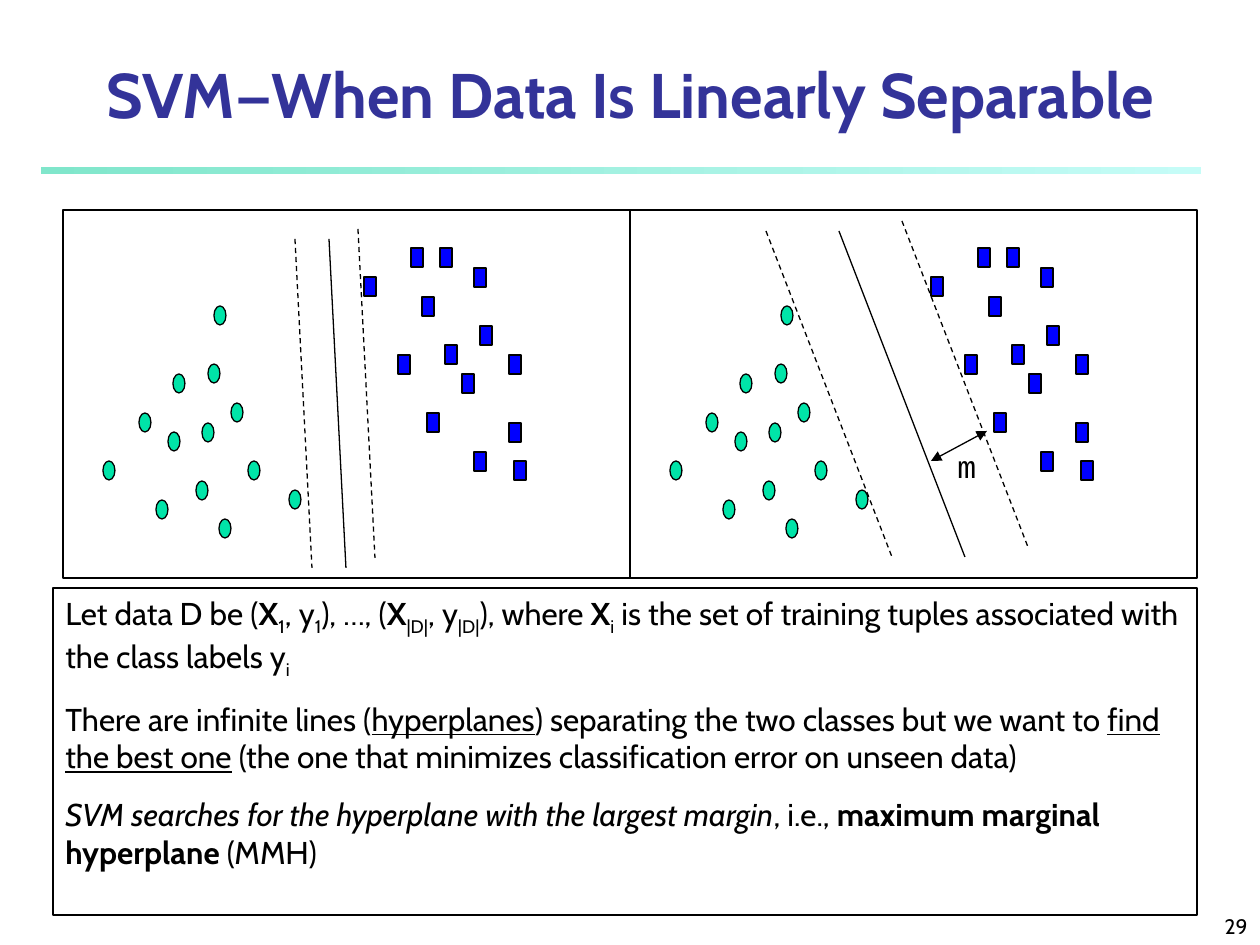
"""Builds a slide comparing small and large margins of a linear SVM."""
from lxml import etree
from pptx import Presentation
from pptx.dml.color import RGBColor
from pptx.enum.dml import MSO_LINE
from pptx.enum.shapes import MSO_CONNECTOR, MSO_SHAPE
from pptx.enum.text import MSO_ANCHOR, PP_ALIGN
from pptx.oxml.ns import qn
from pptx.util import Pt

PX = 914400 // 126
OVAL, RECTANGLE = MSO_SHAPE.OVAL, MSO_SHAPE.RECTANGLE
STRAIGHT, DASH = MSO_CONNECTOR.STRAIGHT, MSO_LINE.DASH
TOP, BOTTOM = MSO_ANCHOR.TOP, MSO_ANCHOR.BOTTOM
LEFT, CENTER, RIGHT = PP_ALIGN.LEFT, PP_ALIGN.CENTER, PP_ALIGN.RIGHT

COLORS = {"title": "333399", "text": "000000", "line": "000000",
          "circle": "00E4A8", "square": "0000FF",
          "rule start": "80E6CB", "rule end": "C5FCF7"}
FONT, MARGIN_FONT = "Cabin", "Courier New"

TITLE = "SVM—When Data Is Linearly Separable"
BOLD, SUB, UNDERLINE, ITALIC = "bold", "sub", "underline", "italic"
EXPLANATION = [
    [("Let data D be (",), ("X", BOLD), ("1", SUB), (", y",), ("1", SUB),
     ("), …, (",), ("X", BOLD), ("|D|", SUB), (", y",), ("|D|", SUB),
     ("), where ",), ("X", BOLD), ("i", SUB),
     (" is the set of training tuples associated with the class labels y",),
     ("i", SUB)],
    [("There are infinite lines (",), ("hyperplanes", UNDERLINE),
     (") separating the two classes but we want to ",),
     ("find the best one", UNDERLINE),
     (" (the one that minimizes classification error on unseen data)",)],
    [("SVM searches for the hyperplane with the largest margin", ITALIC),
     (", i.e., ",), ("maximum marginal hyperplane", BOLD), (" (MMH)",)],
]

POINT_SIZE = (12, 19)
CIRCLES = [(93, 290), (105, 222), (40, 251), (76, 203), (133, 271),
           (110, 164), (139, 213), (145, 154), (168, 193), (185, 251),
           (156, 309), (226, 280), (151, 96)]
SQUARES = [(335, 145), (301, 67), (348, 38), (364, 203), (359, 87),
           (382, 135), (377, 38), (411, 58), (399, 164), (417, 116),
           (411, 242), (446, 145), (446, 213), (451, 251)]

PANEL_LEFT, PANEL_TOP, PANEL_WIDTH, PANEL_HEIGHT = 63, 210, 567, 368
PANELS = [
    {"run": (17, 329), "margins": [(295, 19), (232, 29)], "boundary": (266, 29)},
    {"run": (126, 326), "margins": [(136, 21), (272, 11)], "boundary": (209, 21)},
]
MARGIN_ARROW = ((931, 461), (987, 431))


def scaled(*lengths):
    return [length * PX for length in lengths]


def rgb(name):
    return RGBColor.from_string(COLORS[name])


def style_line(line):
    line.color.rgb = rgb("line")
    line.width = Pt(0.75)


def add_shape(slide, kind, box, fill=None, outlined=True):
    shape = slide.shapes.add_shape(kind, *scaled(*box))
    shape.shadow.inherit = False
    if fill:
        shape.fill.solid()
        shape.fill.fore_color.rgb = rgb(fill)
    else:
        shape.fill.background()
    if outlined:
        style_line(shape.line)
    else:
        shape.line.fill.background()
    return shape


def add_line(slide, start, end, dashed=False, arrows=False):
    connector = slide.shapes.add_connector(STRAIGHT, *scaled(*start, *end))
    style_line(connector.line)
    if dashed:
        connector.line.dash_style = DASH
    if arrows:
        outline = connector.line._get_or_add_ln()
        for tag in ("a:headEnd", "a:tailEnd"):
            etree.SubElement(outline, qn(tag), type="triangle")
    etree.SubElement(connector._element.spPr, qn("a:effectLst"))


def write_text(shape, paragraphs, size=18, name=FONT, color="text",
               align=LEFT, anchor=TOP, bold=False):
    frame = shape.text_frame
    frame.word_wrap = True
    frame.vertical_anchor = anchor
    for index, pieces in enumerate(paragraphs):
        paragraph = frame.add_paragraph() if index else frame.paragraphs[0]
        paragraph.alignment = align
        paragraph.space_before = Pt(11.2 if index else 0)
        for text, *marks in pieces:
            run = paragraph.add_run()
            run.text = text
            formats = {"name": name, "size": Pt(size), "bold": bold}
            formats.update({mark: True for mark in marks if mark != SUB})
            for attribute, value in formats.items():
                setattr(run.font, attribute, value)
            run.font.color.rgb = rgb(color)
            if SUB in marks:
                run._r.get_or_add_rPr().set("baseline", "-25000")


def add_text(slide, box, text, **formats):
    write_text(slide.shapes.add_textbox(*scaled(*box)), [[(text,)]], **formats)


def add_title(slide):
    title = slide.shapes.title
    box = dict(zip(("left", "top", "width", "height"), scaled(0, 53, 1260, 84)))
    for attribute, value in box.items():
        setattr(title, attribute, value)
    write_text(title, [[(TITLE,)]], size=36, color="title", align=CENTER,
               anchor=BOTTOM, bold=True)


def add_rule(slide):
    rule = add_shape(slide, RECTANGLE, (41, 167, 1160, 7), outlined=False)
    rule.fill.gradient()
    rule.fill.gradient_angle = 0
    for stop, name in zip(rule.fill.gradient_stops, ("rule start", "rule end")):
        stop.color.rgb = rgb(name)


def add_panel(slide, left, panel):
    for kind, fill, points in ((OVAL, "circle", CIRCLES),
                               (RECTANGLE, "square", SQUARES)):
        for x, y in points:
            add_shape(slide, kind, (left + x, PANEL_TOP + y, *POINT_SIZE), fill)
    add_shape(slide, RECTANGLE, (left, PANEL_TOP, PANEL_WIDTH, PANEL_HEIGHT))
    across, down = panel["run"]
    for x, y in (*panel["margins"], panel["boundary"]):
        start = (left + x, PANEL_TOP + y)
        end = (start[0] + across, start[1] + down)
        add_line(slide, start, end, dashed=(x, y) in panel["margins"])


def main():
    presentation = Presentation()
    presentation.slide_width, presentation.slide_height = scaled(1260, 945)
    slide = presentation.slides.add_slide(presentation.slide_layouts[5])
    add_rule(slide)
    add_text(slide, (998, 892, 262, 53), "29", size=12, align=RIGHT, anchor=BOTTOM)
    add_title(slide)
    for index, panel in enumerate(PANELS):
        add_panel(slide, PANEL_LEFT + index * PANEL_WIDTH, panel)
    add_line(slide, *MARGIN_ARROW, arrows=True)
    add_text(slide, (945, 441, 73, 50), "m", name=MARGIN_FONT)
    explanation = add_shape(slide, RECTANGLE, (53, 588, 1144, 327))
    write_text(explanation, EXPLANATION)
    presentation.save("out.pptx")


if __name__ == "__main__":
    main()
